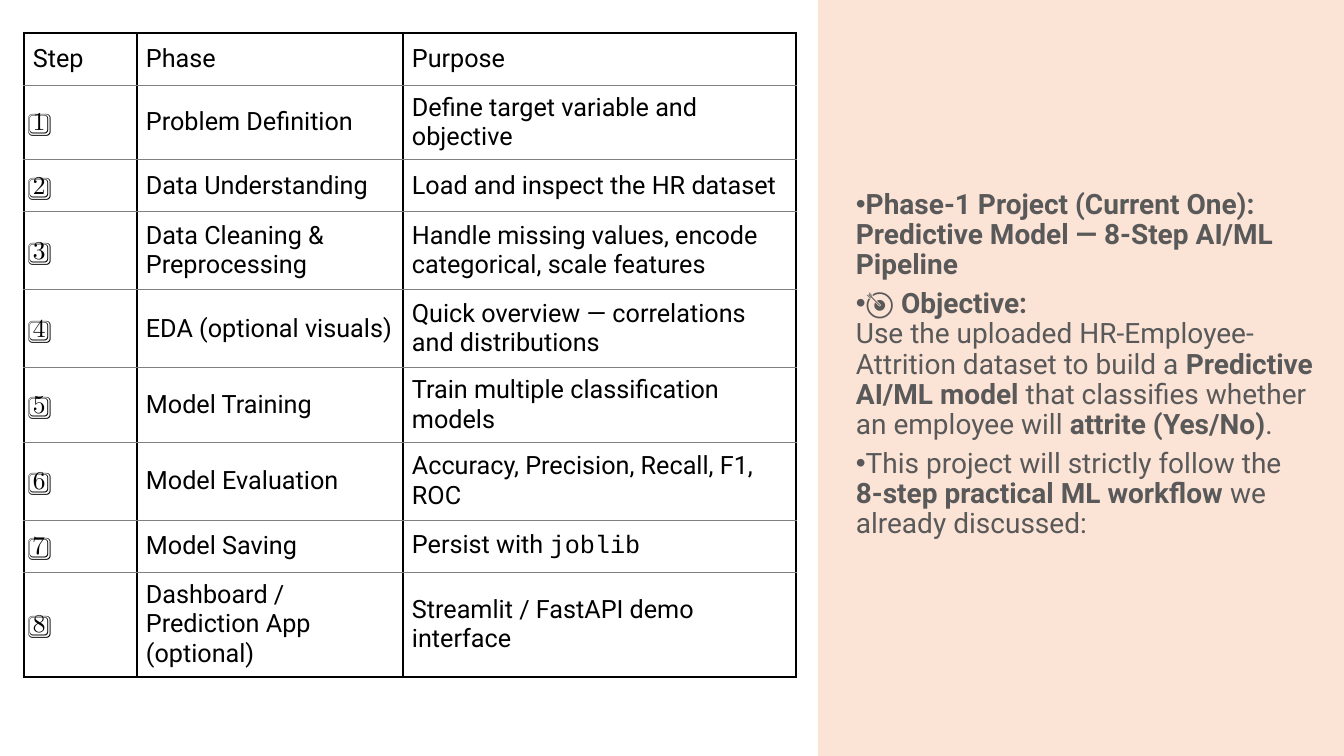
from dataclasses import dataclass

from lxml import etree
from pptx import Presentation
from pptx import util as u
from pptx.dml.color import RGBColor
from pptx.enum import shapes, text
from pptx.oxml import ns

# Content: a plain string is one run; tuples are (words, is_special).
STEPS = [
    ("Step", "Phase", "Purpose"),
    ("1️⃣", "Problem Definition", "Define target variable and objective"),
    ("2️⃣", "Data Understanding", "Load and inspect the HR dataset"),
    ("3️⃣", "Data Cleaning & Preprocessing",
     "Handle missing values, encode categorical, scale features"),
    ("4️⃣", "EDA (optional visuals)",
     "Quick overview — correlations and distributions"),
    ("5️⃣", "Model Training", "Train multiple classification models"),
    ("6️⃣", "Model Evaluation", "Accuracy, Precision, Recall, F1, ROC"),
    ("7️⃣", "Model Saving", [("Persist with ", False), ("joblib", True)]),
    ("8️⃣", "Dashboard / Prediction App (optional)",
     "Streamlit / FastAPI demo interface"),
]
BREAK = None
BRIEF = [
    [("Phase-1 Project (Current One): Predictive Model — 8-Step AI/ML Pipeline", True)],
    [("🎯 ", False), ("Objective:", True), BREAK,
     ("Use the uploaded HR-Employee-Attrition dataset to build a ", False),
     ("Predictive AI/ML model", True),
     (" that classifies whether an employee will ", False),
     ("attrite (Yes/No)", True), (".", False)],
    [("This project will strictly follow the ", False),
     ("8-step practical ML workflow", True),
     (" we already discussed:", False)],
]

# Geometry in px: left, top, width, height
SLIDE = (1344, 756)
PANEL = (818, 0, 526, 756)
BRIEF_BOX = (846, 91, 477, 586)
BRIEF_BOTTOM_INSET = 43
TABLE_AT = (24, 33)
COLUMNS = (113, 266, 393)
SHORT_ROW, TALL_ROW = 52, 78
TALL_ROWS = {3, 4, 6, 8}
CELL_INSETS = {"left": 9, "top": 7, "right": 6, "bottom": 7}


@dataclass(frozen=True)
class Theme:
    panel: str = "FBE3D6"
    brief: str = "595959"
    ink: str = "000000"
    rule: str = "808080"
    font: str = "Roboto"
    code_font: str = "Courier New"
    brief_size: int = 20
    table_size: int = 18
    thick: float = 1.5
    thin: float = 0.5


THEME = Theme()


def px(length):
    return u.Emu(round(length * 914400 / 100.8))


def add_span(para, words, size, color, font=THEME.font, bold=False):
    span = para.add_run()
    span.text = words
    span.font.name = font
    span.font.size = u.Pt(size)
    span.font.bold = bold
    span.font.color.rgb = RGBColor.from_string(color)


def set_borders(cell, first, last):
    """Thick black verticals and outer edges, thin grey rules between rows."""
    thick, thin = (THEME.thick, THEME.ink), (THEME.thin, THEME.rule)
    sides = {"lnL": thick, "lnR": thick,
             "lnT": thick if first else thin, "lnB": thick if last else thin}
    properties = cell._tc.get_or_add_tcPr()
    for place, (side, (width, color)) in enumerate(sides.items()):
        line = etree.Element(ns.qn(f"a:{side}"), w=str(u.Pt(width)))
        fill = etree.SubElement(line, ns.qn("a:solidFill"))
        etree.SubElement(fill, ns.qn("a:srgbClr"), val=color)
        properties.insert(place, line)


def add_steps_table(page):
    heights = [TALL_ROW if row in TALL_ROWS else SHORT_ROW for row in range(len(STEPS))]
    bounds = (*TABLE_AT, sum(COLUMNS), sum(heights))
    table = page.shapes.add_table(len(STEPS), len(COLUMNS), *map(px, bounds)).table
    table.first_row = table.horz_banding = False
    for column, width in zip(table.columns, COLUMNS):
        column.width = px(width)
    for index, (row, height, entries) in enumerate(zip(table.rows, heights, STEPS)):
        row.height = px(height)
        for cell, entry in zip(row.cells, entries):
            cell.fill.background()
            cell.vertical_anchor = text.MSO_ANCHOR.MIDDLE
            for side, inset in CELL_INSETS.items():
                setattr(cell, f"margin_{side}", px(inset))
            set_borders(cell, index == 0, index == len(STEPS) - 1)
            spans = [(entry, False)] if isinstance(entry, str) else entry
            for words, is_code in spans:
                add_span(cell.text_frame.paragraphs[0], words, THEME.table_size,
                         THEME.ink, THEME.code_font if is_code else THEME.font)


def add_panel(page):
    panel = page.shapes.add_shape(shapes.MSO_SHAPE.RECTANGLE, *map(px, PANEL))
    panel.shadow.inherit = False
    panel.fill.solid()
    panel.fill.fore_color.rgb = RGBColor.from_string(THEME.panel)
    panel.line.fill.background()


def add_brief(page):
    frame = page.shapes.add_textbox(*map(px, BRIEF_BOX)).text_frame
    frame.word_wrap = True
    frame.vertical_anchor = text.MSO_ANCHOR.MIDDLE
    frame.margin_bottom = px(BRIEF_BOTTOM_INSET)
    for index, spans in enumerate(BRIEF):
        para = frame.add_paragraph() if index else frame.paragraphs[0]
        para.line_spacing = 0.9
        para.space_after = u.Pt(6)
        properties = para._p.get_or_add_pPr()
        properties.set("marL", "0")
        properties.set("indent", str(-u.Inches(0.25)))
        etree.SubElement(properties, ns.qn("a:buFont"), typeface="Arial")
        etree.SubElement(properties, ns.qn("a:buChar"), char="•")
        for span in spans:
            if span is BREAK:
                para.add_line_break()
            else:
                words, bold = span
                add_span(para, words, THEME.brief_size, THEME.brief, bold=bold)


def main():
    deck = Presentation()
    deck.slide_width, deck.slide_height = map(px, SLIDE)
    page = deck.slides.add_slide(deck.slide_layouts[6])
    add_panel(page)
    add_brief(page)
    add_steps_table(page)
    deck.save("out.pptx")


if __name__ == "__main__":
    main()
